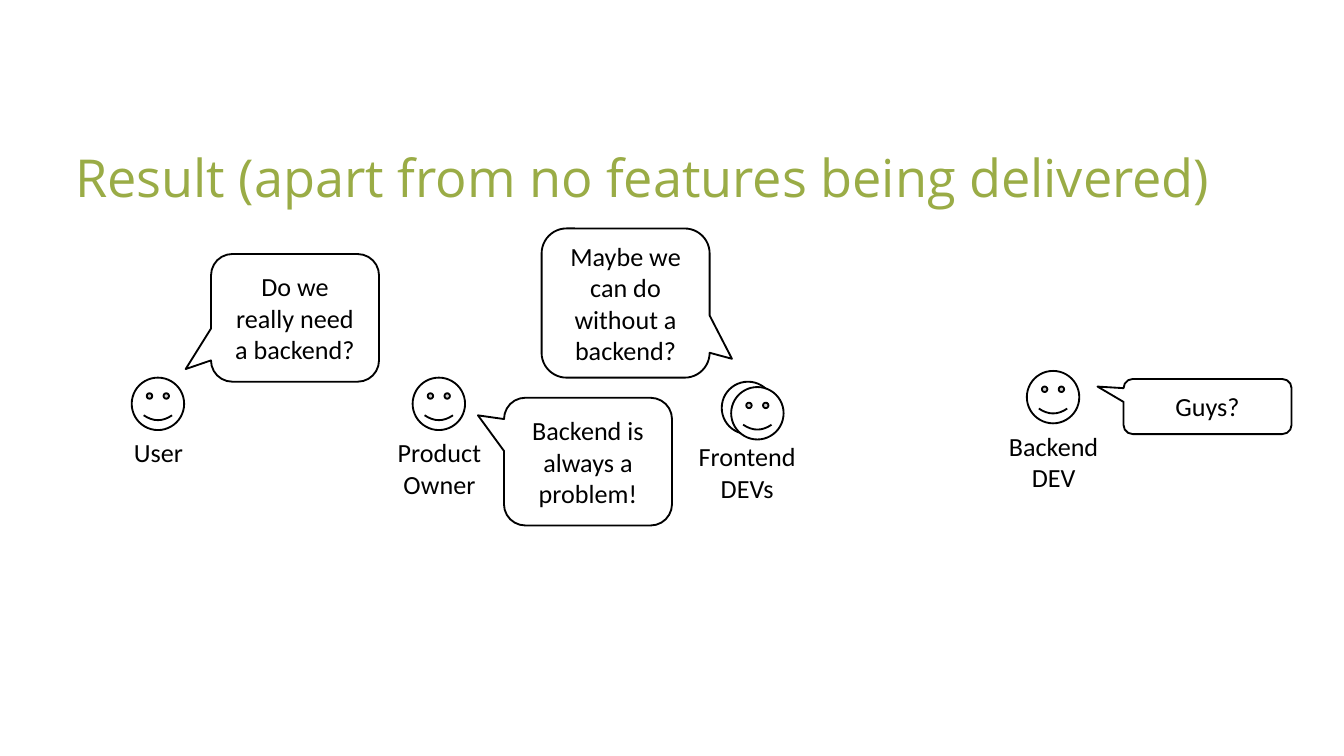
from dataclasses import dataclass

from pptx import Presentation
from pptx.dml.color import RGBColor
from pptx.enum.shapes import MSO_SHAPE
from pptx.enum.text import MSO_ANCHOR, PP_ALIGN
from pptx.util import Inches, Pt

BLACK = RGBColor(0x00, 0x00, 0x00)
WHITE = RGBColor(0xFF, 0xFF, 0xFF)
GREEN = RGBColor(0x9A, 0xAC, 0x46)

SMILEY = MSO_SHAPE.SMILEY_FACE
CALLOUT = MSO_SHAPE.ROUNDED_RECTANGULAR_CALLOUT
CENTER, LEFT = PP_ALIGN.CENTER, PP_ALIGN.LEFT
MIDDLE, TOP = MSO_ANCHOR.MIDDLE, MSO_ANCHOR.TOP

SLIDE_W = Inches(10)
SLIDE_H = SLIDE_W * 9 // 16

FACE = 0.39
SMILE = 0.047
LABEL_W = 1
BUBBLE_W = 1.25
CORNER = 0.167


@dataclass
class Face:
    left: float
    top: float


@dataclass
class Label:
    text: str
    left: float
    top: float
    height: float = 0.57


@dataclass
class Bubble:
    text: str
    left: float
    top: float
    height: float
    tip: tuple[float, float]  # offset from the centre, as a share of the size


# The two front-end faces overlap
FACES = [Face(0.98, 2.81), Face(3.07, 2.81), Face(5.37, 2.84),
         Face(5.44, 2.88), Face(7.64, 2.76)]
LABELS = [
    Label("User", 0.68, 3.2, 0.34),
    Label("Product Owner", 2.77, 3.2),
    Label("Frontend DEVs", 5.06, 3.23),
    Label("Backend DEV", 7.34, 3.15),
]
BUBBLES = [
    Bubble("Maybe we can do without a backend?", 4.03, 1.7, 1.11, (0.633, 0.374)),
    Bubble("Do we really need a backend?", 1.57, 1.89, 0.95, (-0.651, 0.401)),
    Bubble("Backend is always a problem!", 3.75, 2.96, 0.95, (-0.655, -0.362)),
    Bubble("Guys?", 8.36, 2.82, 0.41, (-0.655, -0.362)),
]


def write(shape, text: str, size: float = 14, font: str = "Calibri",
          color: RGBColor = BLACK, align=CENTER, anchor=MIDDLE) -> None:
    tf = shape.text_frame
    tf.word_wrap = True
    tf.vertical_anchor = anchor
    tf.text = text
    p = tf.paragraphs[0]
    p.alignment = align
    f = p.runs[0].font
    f.size, f.name = Pt(size), font
    f.color.rgb = color


def add_outlined(s, kind, left: float, top: float, width: float,
                 height: float, adjustments: tuple[float, ...]):
    sp = s.shapes.add_shape(kind, Inches(left), Inches(top),
                            Inches(width), Inches(height))
    sp.shadow.inherit = False
    sp.fill.solid()
    sp.fill.fore_color.rgb = WHITE
    sp.line.color.rgb = BLACK
    sp.line.width = Pt(1)
    for i, value in enumerate(adjustments):
        sp.adjustments[i] = value
    return sp


def add_face(s, face: Face) -> None:
    add_outlined(s, SMILEY, face.left, face.top, FACE, FACE, (SMILE,))


def add_label(s, label: Label) -> None:
    box = s.shapes.add_textbox(Inches(label.left), Inches(label.top),
                               Inches(LABEL_W), Inches(label.height))
    write(box, label.text, anchor=TOP)


def add_bubble(s, bubble: Bubble) -> None:
    sp = add_outlined(s, CALLOUT, bubble.left, bubble.top, BUBBLE_W,
                      bubble.height, (*bubble.tip, CORNER))
    write(sp, bubble.text)


def main() -> None:
    prs = Presentation()
    prs.slide_width, prs.slide_height = SLIDE_W, SLIDE_H
    s = prs.slides.add_slide(prs.slide_layouts[5])

    # Title
    title = s.shapes.title
    title.left, title.top = Inches(0.46), Inches(1.09)
    title.width, title.height = Inches(8.77), Inches(0.51)
    write(title, "Result (apart from no features being delivered)",
          28, "Open Sans", GREEN, LEFT)
    title.text_frame.paragraphs[0].line_spacing = 0.9

    # People
    for face in FACES:
        add_face(s, face)
    for label in LABELS:
        add_label(s, label)

    # What they say
    for bubble in BUBBLES:
        add_bubble(s, bubble)

    prs.save("out.pptx")


if __name__ == "__main__":
    main()
